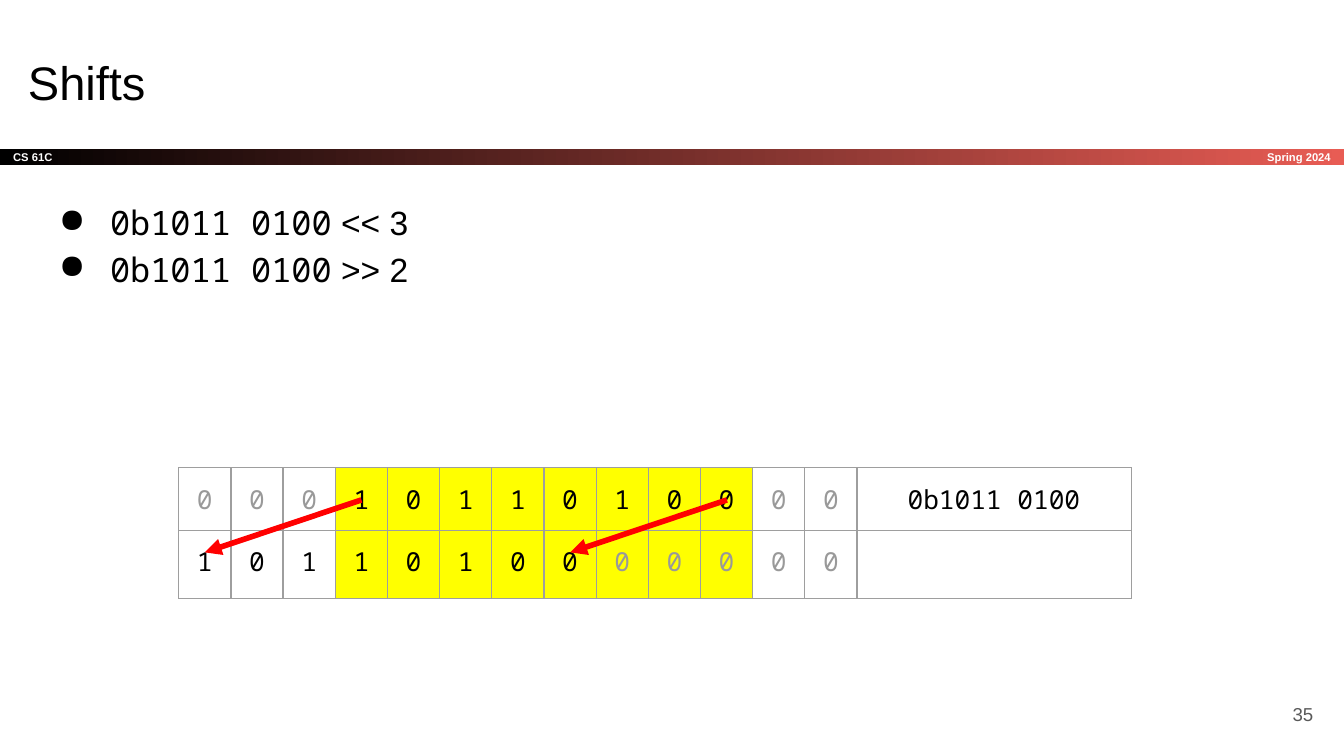
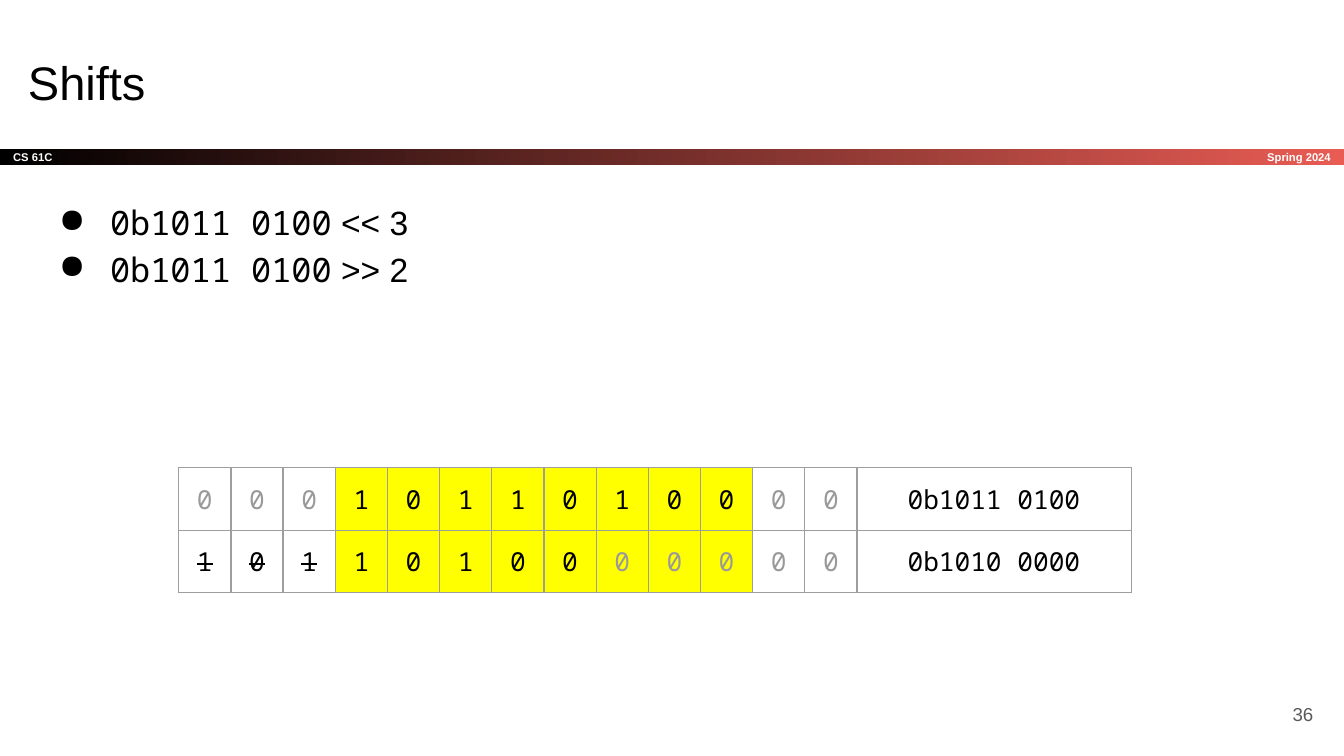
from lxml import etree
from pptx import Presentation
from pptx import util as u
from pptx.dml.color import RGBColor
from pptx.enum import shapes, text
from pptx.oxml import ns

COLORS = {
    "black": "000000", "white": "FFFFFF", "coral": "E85C54", "faded": "999999",
    "border": "9E9E9E", "yellow": "FFFF00", "red": "FF0000", "number": "595959",
}
RGB = {name: RGBColor.from_string(value) for name, value in COLORS.items()}
SANS, MONO = "Arial", "Noto Sans Mono"
TOP, MIDDLE = text.MSO_ANCHOR.TOP, text.MSO_ANCHOR.MIDDLE
LEFT, CENTER, RIGHT = text.PP_ALIGN.LEFT, text.PP_ALIGN.CENTER, text.PP_ALIGN.RIGHT

deck = Presentation()
deck.slide_width, deck.slide_height = u.Inches(10), u.Inches(5.625)
UNIT = deck.slide_width / 100
INSET = int(UNIT)

TABLE_LEFT, TABLE_TOP, TABLE_WIDTH = 13.3, 34.8, 70.9
BITS, LABEL_WIDTH, ROW_HEIGHT = 13, 20.4, 4.2
BIT_WIDTH = (TABLE_WIDTH - LABEL_WIDTH) / BITS
WINDOW = range(3, 11)
SHIFT = 3


def add_box(page, left, top, width, height, anchor=TOP, filled_kind=None):
    area = [int(n * UNIT) for n in (left, top, width, height)]
    if filled_kind is None:
        box = page.shapes.add_textbox(*area)
    else:
        box = page.shapes.add_shape(filled_kind, *area)
        box.shadow.inherit = False
    frame = box.text_frame
    frame.word_wrap = True
    frame.auto_size = text.MSO_AUTO_SIZE.NONE
    frame.vertical_anchor = anchor
    frame.margin_left = frame.margin_right = frame.margin_top = frame.margin_bottom = INSET
    return box


def write(para, words, size, color, font=SANS, align=LEFT, bold=False):
    para.alignment = align
    para.font.size, para.font.name, para.font.bold = u.Pt(size), font, bold
    para.font.color.rgb = RGB[color]
    span = para.add_run()
    span.text = words
    return span


pages = [
    {"number": "35", "result": "", "dropped": False, "arrows": True},
    {"number": "36", "result": "0b1010 0000", "dropped": True, "arrows": False},
]

for content in pages:
    page = deck.slides.add_slide(deck.slide_layouts[6])
    page.background.fill.solid()
    page.background.fill.fore_color.rgb = RGB["white"]

    band = add_box(page, 0, 11.1, 100, 1.2, MIDDLE, shapes.MSO_SHAPE.RECTANGLE)
    band.line.fill.background()
    band.fill.gradient()
    band.fill.gradient_angle = 0
    for stop, position, color in zip(band.fill.gradient_stops, (0, 1), ("black", "coral")):
        stop.position = position
        stop.color.rgb = RGB[color]
    write(band.text_frame.paragraphs[0], "CS 61C", 6, "white", bold=True)
    term = add_box(page, 83.4, 11.1, 16.6, 1.2, MIDDLE)
    write(term.text_frame.paragraphs[0], "Spring 2024", 6, "white", align=RIGHT, bold=True)

    title = add_box(page, 1.1, 3, 93.2, 6.3)
    write(title.text_frame.paragraphs[0], "Shifts", 25.2, "black")

    body = add_box(page, 2.2, 13.6, 93.2, 41.2, TOP, shapes.MSO_SHAPE.RECTANGLE)
    body.fill.background()
    body.line.color.rgb = RGB["white"]
    body.line.width = u.Pt(0.75)
    frame = body.text_frame
    for index, operation in enumerate((" << 3", " >> 2")):
        para = frame.add_paragraph() if index else frame.paragraphs[0]
        para.line_spacing = 1.15
        props = para._p.get_or_add_pPr()
        props.set("marL", str(int(5 * UNIT)))
        props.set("indent", str(int(-3.8 * UNIT)))
        bullet_color = etree.SubElement(props, ns.qn("a:buClr"))
        etree.SubElement(bullet_color, ns.qn("a:srgbClr"), val=COLORS["black"])
        etree.SubElement(props, ns.qn("a:buChar"), char="●")
        write(para, "0b1011 0100", 18, "black").font.name = MONO
        span = para.add_run()
        span.text = operation
        span.font.name = SANS

    area = [int(n * UNIT) for n in (TABLE_LEFT, TABLE_TOP, TABLE_WIDTH, 2 * ROW_HEIGHT)]
    table = page.shapes.add_table(2, BITS + 1, *area).table
    table.first_row = table.horz_banding = False
    for index, column in enumerate(table.columns):
        column.width = int((BIT_WIDTH if index < BITS else LABEL_WIDTH) * UNIT)
    rows = [[*"0001011010000", "0b1011 0100"], [*"1011010000000", content["result"]]]
    for row, values in enumerate(rows):
        start = WINDOW.start - SHIFT * row
        solid_columns = [*range(start, start + len(WINDOW)), BITS]
        for col, value in enumerate(values):
            cell = table.cell(row, col)
            cell.margin_left = cell.margin_right = cell.margin_top = cell.margin_bottom = INSET
            for side in ("lnL", "lnR", "lnT", "lnB"):
                edge = etree.SubElement(cell._tc.get_or_add_tcPr(), ns.qn(f"a:{side}"), w=str(u.Pt(0.75)))
                paint = etree.SubElement(edge, ns.qn("a:solidFill"))
                etree.SubElement(paint, ns.qn("a:srgbClr"), val=COLORS["border"])
            if col in WINDOW:
                cell.fill.solid()
                cell.fill.fore_color.rgb = RGB["yellow"]
            else:
                cell.fill.background()
            if value:
                color = "black" if col in solid_columns else "faded"
                span = write(cell.text_frame.paragraphs[0], value, 14, color, MONO, CENTER)
                if content["dropped"] and row == 1 and col < SHIFT:
                    span._r.get_or_add_rPr().set("strike", "sngStrike")

    number = add_box(page, 92.7, 51, 6, 4.3, MIDDLE)
    write(number.text_frame.paragraphs[0], content["number"], 10, "number", align=RIGHT)

    for col in (WINDOW[-1], WINDOW[0]) if content["arrows"] else ():
        start_x, end_x = [TABLE_LEFT + (c + 0.5) * BIT_WIDTH for c in (col, col - SHIFT)]
        ends = [int(n * UNIT) for n in (start_x, 37.2, end_x, 41.1)]
        arrow = page.shapes.add_connector(shapes.MSO_CONNECTOR.STRAIGHT, *ends)
        arrow.line.color.rgb = RGB["red"]
        arrow.line.width = u.Pt(3)
        etree.SubElement(arrow.line._get_or_add_ln(), ns.qn("a:tailEnd"), type="triangle")
        etree.SubElement(arrow._element.spPr, ns.qn("a:effectLst"))

deck.save("out.pptx")
